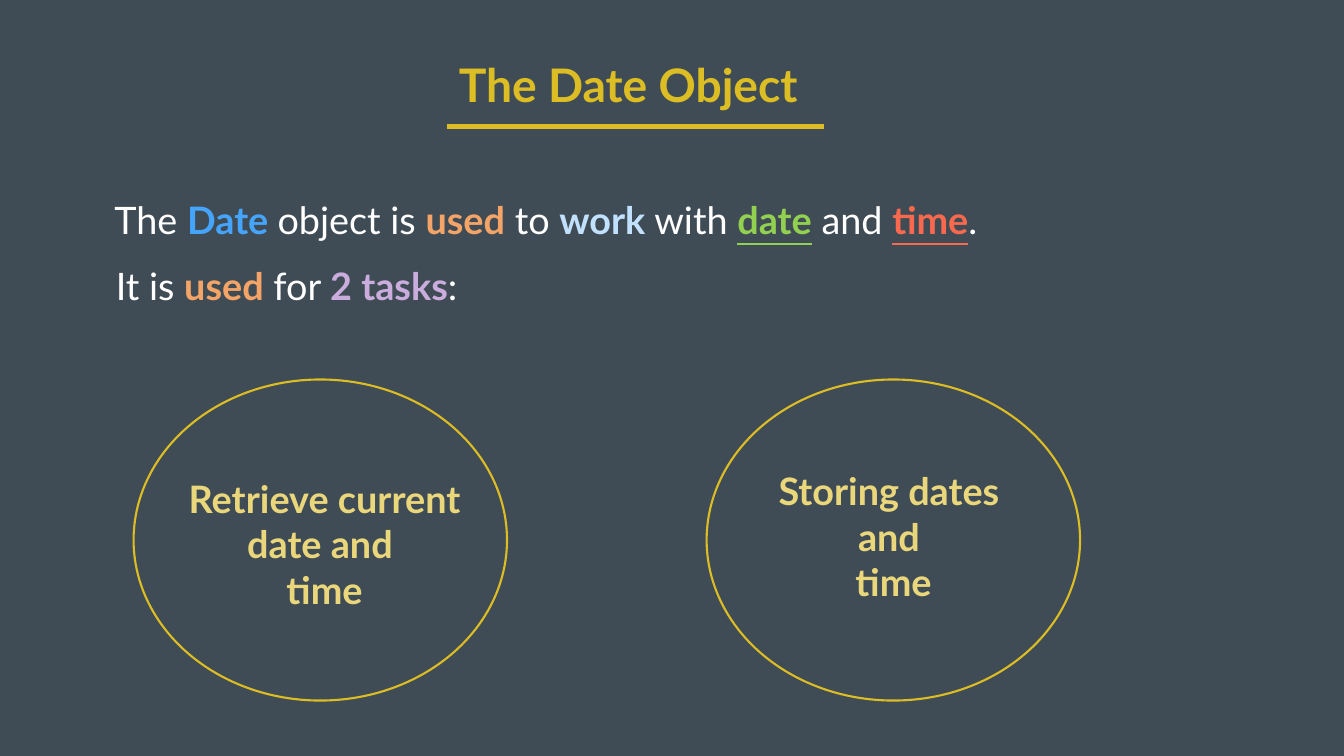
import pptx
import pptx.dml.color
import pptx.enum.shapes
import pptx.enum.text
import pptx.oxml.xmlchemy
import pptx.util
from pptx.util import Pt

RGBColor = pptx.dml.color.RGBColor
SLATE = RGBColor(0x40, 0x4C, 0x55)
GOLD = RGBColor(0xDC, 0xBD, 0x23)
PALE_GOLD = RGBColor(0xEA, 0xD7, 0x7B)
WHITE = RGBColor(0xFF, 0xFF, 0xFF)
BLUE = RGBColor(0x45, 0xA4, 0xFC)
PALE_BLUE = RGBColor(0xC1, 0xE1, 0xFE)
ORANGE = RGBColor(0xF4, 0xA4, 0x67)
GREEN = RGBColor(0x92, 0xD0, 0x50)
RED = RGBColor(0xFA, 0x69, 0x4E)
LILAC = RGBColor(0xCA, 0xAC, 0xDD)

FONT = "Lato"
TITLE_SIZE = 66
BODY_SIZE = 54
CENTER = pptx.enum.text.PP_ALIGN.CENTER


def add_text_box(slide, left, top, width, height, wrap=True):
    box = slide.shapes.add_textbox(Pt(left), Pt(top), Pt(width), Pt(height))
    frame = box.text_frame
    frame.word_wrap = wrap
    frame.auto_size = pptx.enum.text.MSO_AUTO_SIZE.SHAPE_TO_FIT_TEXT
    return frame


def style_centered(paragraph, size, color):
    paragraph.alignment = CENTER
    paragraph.font.name = FONT
    paragraph.font.size = Pt(size)
    paragraph.font.bold = True
    paragraph.font.color.rgb = color


def add_title(slide, text):
    frame = add_text_box(slide, 360, 95.76, 1074.96, 64.08)
    frame.margin_left = frame.margin_right = 0
    frame.margin_top = frame.margin_bottom = 0
    frame.vertical_anchor = pptx.enum.text.MSO_ANCHOR.MIDDLE
    paragraph = frame.paragraphs[0]
    paragraph.text = text
    paragraph.line_spacing = 0.8
    style_centered(paragraph, TITLE_SIZE, GOLD)


def add_title_rule(slide):
    rule = slide.shapes.add_connector(
        pptx.enum.shapes.MSO_CONNECTOR.STRAIGHT,
        Pt(638.64), Pt(180.72), Pt(1176.48), Pt(180.72))
    rule.line.color.rgb = GOLD
    rule.line.width = Pt(8)
    rule._element.spPr.append(pptx.oxml.xmlchemy.OxmlElement("a:effectLst"))


def add_sentence(slide, left, top, width, pieces, underlined=()):
    """Add one line of (text, color) pieces; every color but white is bold."""
    paragraph = add_text_box(slide, left, top, width, 72.72).paragraphs[0]
    paragraph.font.name = FONT
    paragraph.font.size = Pt(BODY_SIZE)
    for text, color in pieces:
        run = paragraph.add_run()
        run.text = text
        run.font.color.rgb = color
        run.font.bold = color != WHITE
        if text in underlined:
            run.font.underline = True


def add_task_text(slide, left, top, width, lines):
    frame = add_text_box(slide, left, top, width, 203.76, wrap=False)
    frame.text = "\n".join(lines)
    for paragraph in frame.paragraphs:
        style_centered(paragraph, BODY_SIZE, PALE_GOLD)


def add_task_ring(slide, left):
    ring = slide.shapes.add_shape(
        pptx.enum.shapes.MSO_SHAPE.OVAL,
        Pt(left), Pt(542.16), Pt(533.52), Pt(458.64))
    ring.shadow.inherit = False
    ring.fill.background()
    ring.line.color.rgb = GOLD
    ring.line.width = Pt(3)


def main():
    presentation = pptx.Presentation()
    presentation.slide_width = Pt(1920)
    presentation.slide_height = Pt(1080)
    slide = presentation.slides.add_slide(presentation.slide_layouts[6])
    slide.background.fill.solid()
    slide.background.fill.fore_color.rgb = SLATE

    add_title(slide, "The Date Object")
    add_title_rule(slide)
    add_sentence(slide, 156.24, 277.2, 1731.6, [
        ("The ", WHITE), ("Date ", BLUE), ("object is ", WHITE),
        ("used", ORANGE), (" to ", WHITE), ("work", PALE_BLUE),
        (" with ", WHITE), ("date", GREEN), (" and ", WHITE),
        ("time", RED), (".", WHITE)], underlined=("date", "time"))
    add_sentence(slide, 158.4, 371.52, 959.76, [
        ("It is ", WHITE), ("used", ORANGE), (" for ", WHITE),
        ("2 tasks", LILAC), (":", WHITE)])

    add_task_text(slide, 1102.32, 665.28, 348.48,
                  ["Storing dates ", "and ", "time"])
    add_task_text(slide, 257.76, 676.08, 411.84,
                  ["Retrieve current", "date and ", "time"])
    for left in (1009.44, 190.8):
        add_task_ring(slide, left)

    presentation.save("out.pptx")


if __name__ == "__main__":
    main()
